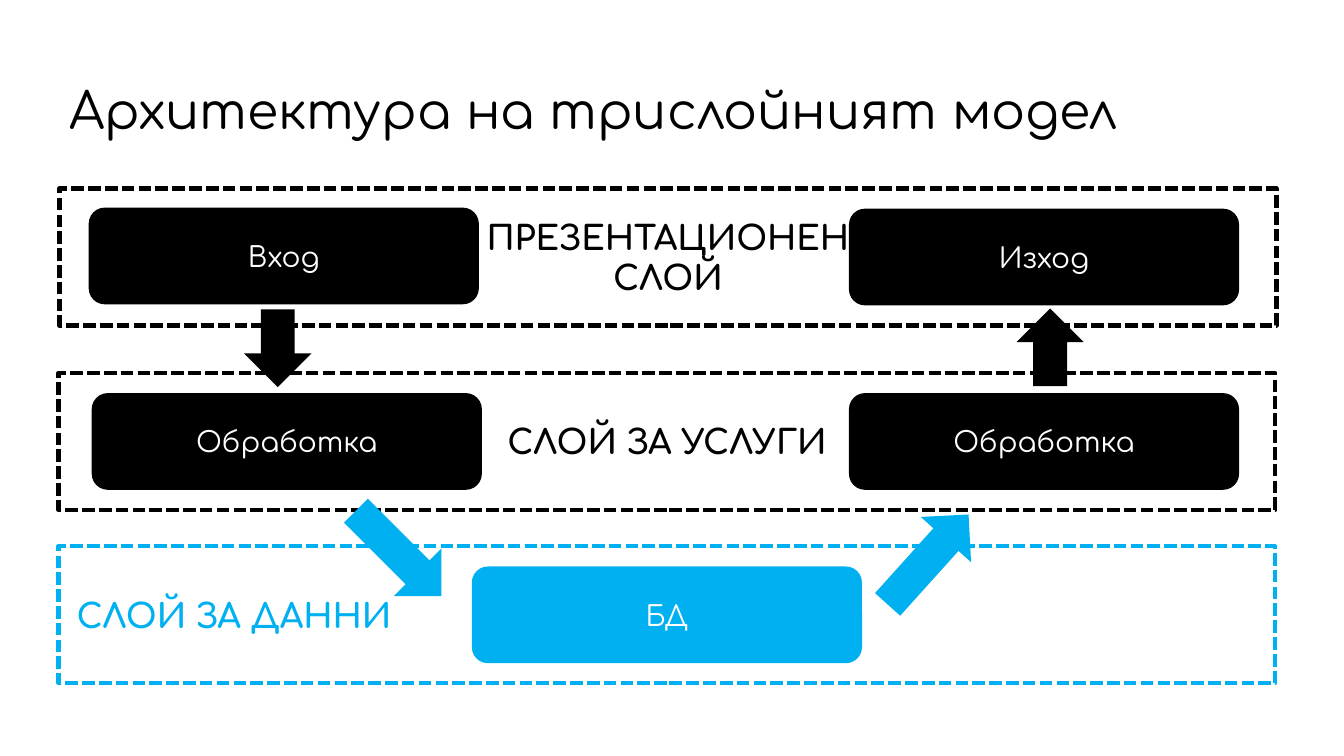
import pptx
import pptx.util
import pptx.dml.color
import pptx.enum.dml
import pptx.enum.shapes
import pptx.enum.text

Inches = pptx.util.Inches
Pt = pptx.util.Pt
SHAPE = pptx.enum.shapes.MSO_SHAPE
ALIGN = pptx.enum.text.PP_ALIGN
MIDDLE = pptx.enum.text.MSO_ANCHOR.MIDDLE

BLACK, BLUE, WHITE = "000000", "00B0F0", "FFFFFF"


def rgb(hex_color):
    return pptx.dml.color.RGBColor.from_string(hex_color)


class Diagram:
    font = "Comfortaa"
    layer_size = (12.07, 1.36)
    box_size = (3.87, 0.96)

    def __init__(self, prs):
        self.s = prs.slides.add_slide(prs.slide_layouts[5])

    def label(self, tf, text, size, color, bold=False, align=ALIGN.CENTER):
        tf.text = text
        tf.word_wrap = True
        tf.vertical_anchor = MIDDLE
        p = tf.paragraphs[0]
        p.alignment = align
        for r in p.runs:
            r.font.name = self.font
            r.font.size = Pt(size)
            r.font.bold = bold
            r.font.color.rgb = rgb(color)
        return p

    def title(self, text):
        sp = self.s.shapes.title
        sp.left, sp.top = Inches(0.59), Inches(0.4)
        sp.width, sp.height = Inches(12.07), Inches(1.45)
        p = self.label(sp.text_frame, text, 36, BLACK, align=ALIGN.LEFT)
        p.line_spacing = 0.9

    def shape(self, kind, left, top, size, fill=None):
        sp = self.s.shapes.add_shape(
            kind, Inches(left), Inches(top), Inches(size[0]), Inches(size[1]))
        sp.shadow.inherit = False
        sp.line.fill.background()
        if fill:
            sp.fill.solid()
            sp.fill.fore_color.rgb = rgb(fill)
        else:
            sp.fill.background()
        return sp

    def layer(self, text, left, top, color, align=ALIGN.CENTER):
        sp = self.shape(SHAPE.RECTANGLE, left, top, self.layer_size)
        sp.line.color.rgb = rgb(color)
        sp.line.width = Pt(3)
        sp.line.dash_style = pptx.enum.dml.MSO_LINE.SQUARE_DOT
        if align == ALIGN.LEFT:
            sp.text_frame.margin_left = Inches(0.18)
        self.label(sp.text_frame, text, 24, color, True, align)

    def box(self, text, left, top, color):
        sp = self.shape(SHAPE.ROUNDED_RECTANGLE, left, top, self.box_size, color)
        self.label(sp.text_frame, text, 20, WHITE)

    def arrow(self, left, top, height, color, rotation=0):
        sp = self.shape(SHAPE.DOWN_ARROW, left, top, (0.67, height), color)
        sp.rotation = rotation


def main():
    prs = pptx.Presentation()
    prs.slide_width, prs.slide_height = Inches(13.33), Inches(7.5)
    d = Diagram(prs)
    d.title("Архитектура на трислойният модел")

    # Presentation layer
    d.layer("ПРЕЗЕНТАЦИОНЕН\vСЛОЙ", 0.59, 1.87, BLACK)
    d.box("Вход", 0.88, 2.06, BLACK)
    d.box("Изход", 8.42, 2.07, BLACK)

    # Service layer
    d.layer("СЛОЙ ЗА УСЛУГИ", 0.58, 3.7, BLACK)
    for left in (0.91, 8.42):
        d.box("Обработка", left, 3.9, BLACK)

    # Data layer
    d.layer("СЛОЙ ЗА ДАННИ", 0.58, 5.42, BLUE, ALIGN.LEFT)
    d.box("БД", 4.68, 5.62, BLUE)

    # Flow down to the data and back up
    d.arrow(2.42, 3.07, 0.77, BLACK)
    d.arrow(3.62, 4.89, 1.2, BLUE, 315)
    d.arrow(8.87, 4.95, 1.2, BLUE, 222)
    d.arrow(10.08, 3.06, 0.77, BLACK, 180)

    prs.save("out.pptx")


if __name__ == "__main__":
    main()
